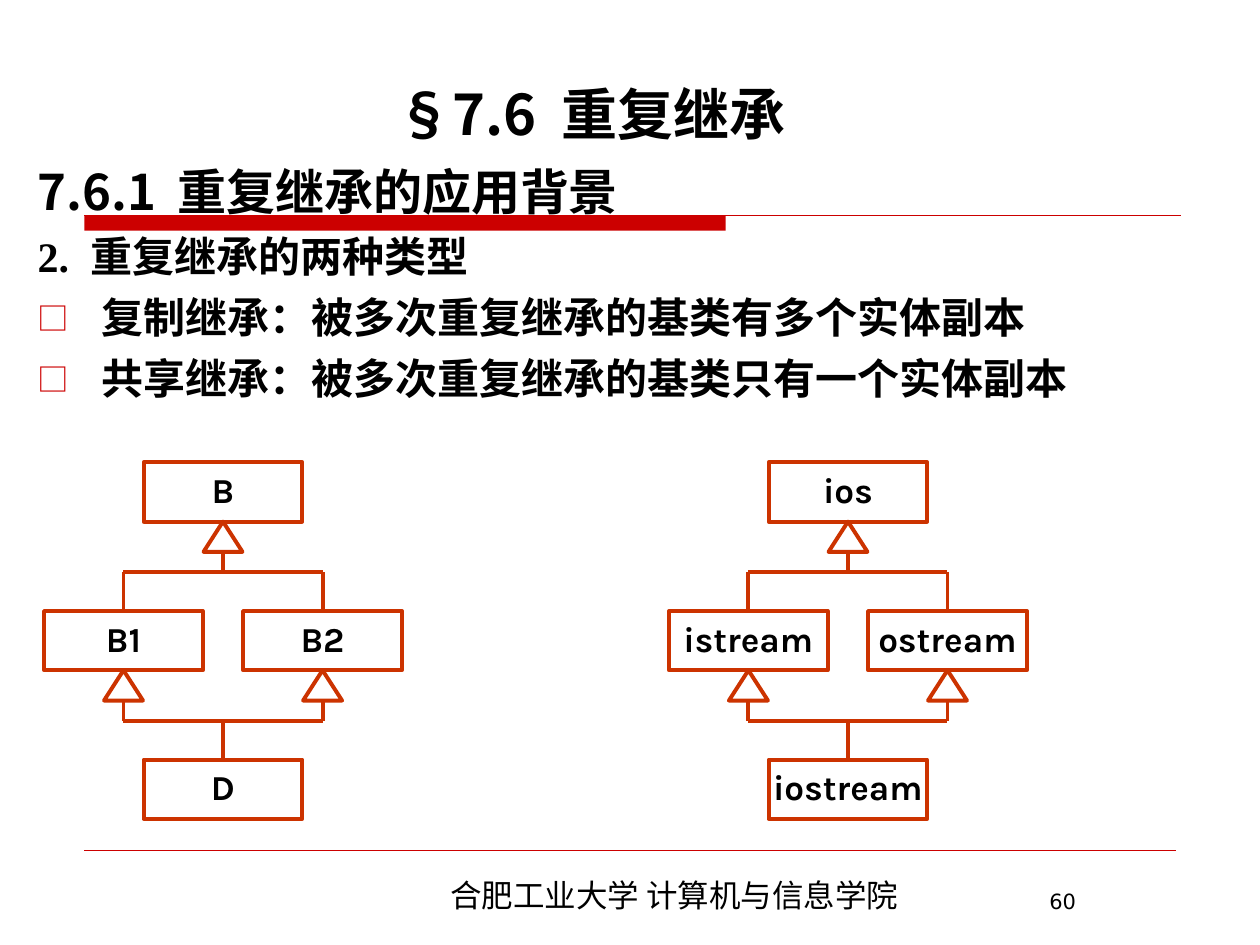
from lxml.etree import SubElement
from pptx import Presentation
from pptx.dml.color import RGBColor
from pptx.enum.shapes import MSO_CONNECTOR as CONN, MSO_SHAPE as SHAPE
from pptx.enum.text import MSO_ANCHOR as ANCHOR, PP_ALIGN as ALIGN
from pptx.oxml.ns import qn
from pptx.util import Inches, Pt

BLACK = RGBColor(0x00, 0x00, 0x00)
RED = RGBColor(0xCC, 0x00, 0x00)
ORANGE = RGBColor(0xCC, 0x33, 0x00)
CJK, SERIF, LABEL, NUMBER = "Noto Sans CJK SC", "Times New Roman", "Karla", "DejaVu Sans"

TITLE = "§7.6 重复继承"
BODY = [
    ("7.6.1 重复继承的应用背景", dict(size=28, bold=True, gap=6)),
    ("2. 重复继承的两种类型", dict(size=24, font=SERIF, bold=True, gap=6, before=6)),
    ("复制继承：被多次重复继承的基类有多个实体副本",
     dict(size=24, font=SERIF, bold=True, before=6, bullet="□")),
    ("共享继承：被多次重复继承的基类只有一个实体副本",
     dict(size=24, font=SERIF, bold=True, before=6, bullet="□")),
]
FOOTER, PAGE = "合肥工业大学 计算机与信息学院", "60"
# centre x, then the class names: base, left, right, derived
DIAMONDS = [
    (1.77, ("B", "B1", "B2", "D")),
    (6.73, ("ios", "istream", "ostream", "iostream")),
]

BOX_W, BOX_H = 1.26, 0.47
TOP, ROW = 3.67, 1.18       # first row of boxes, step between rows
ARM = 0.79                  # centre line to the middle of a side box
TRI_W, TRI_H = 0.31, 0.24
STEM = 0.16                 # triangle base to the crossbar


def add_text(tf, text, size=20, font=CJK, bold=False, align=ALIGN.LEFT,
             before=0, gap=0, bullet=None, line_spacing=None):
    """Add a paragraph; gap widens each space by that many points."""
    p = tf.paragraphs[0] if not tf.text else tf.add_paragraph()
    p.alignment = align
    p.space_before = Pt(before)
    if line_spacing:
        p.line_spacing = line_spacing
    if bullet:
        ppr = p._p.get_or_add_pPr()
        ppr.set("marL", str(Inches(0.51)))
        ppr.set("indent", str(Inches(-0.51)))
        colour = SubElement(ppr, qn("a:buClr"))
        SubElement(colour, qn("a:srgbClr"), val=str(RED))
        SubElement(ppr, qn("a:buSzPct"), val="75000")
        SubElement(ppr, qn("a:buFont"), typeface=CJK)
        SubElement(ppr, qn("a:buChar"), char=bullet)
    head, space, tail = text.partition(" ") if gap else (text, "", "")
    for part in filter(None, (head, space, tail)):
        r = p.add_run()
        r.text = part
        r.font.size, r.font.name, r.font.bold = Pt(size), font, bold
        r.font.color.rgb = BLACK
        SubElement(r.font._element, qn("a:ea"), typeface=CJK)
        if part == " ":
            r.font._element.set("spc", str(gap * 100))


def add_box(s, x, y, w, h, anchor=ANCHOR.TOP):
    tf = s.shapes.add_textbox(Inches(x), Inches(y), Inches(w), Inches(h)).text_frame
    tf.word_wrap = True
    tf.vertical_anchor = anchor
    return tf


def add_line(s, x1, y1, x2, y2, color=ORANGE, width=2.25):
    line = s.shapes.add_connector(CONN.STRAIGHT, Inches(x1), Inches(y1), Inches(x2), Inches(y2))
    line.line.color.rgb, line.line.width = color, Pt(width)
    SubElement(line._element.spPr, qn("a:effectLst"))


def add_outline(s, kind, cx, y, w, h):
    """Add an unfilled shape centred on cx."""
    sp = s.shapes.add_shape(kind, Inches(cx - w / 2), Inches(y), Inches(w), Inches(h))
    sp.shadow.inherit = False
    sp.fill.background()
    sp.line.color.rgb, sp.line.width = ORANGE, Pt(2.25)
    return sp


def add_class(s, name, cx, y):
    tf = add_outline(s, SHAPE.RECTANGLE, cx, y, BOX_W, BOX_H).text_frame
    tf.margin_left = tf.margin_right = tf.margin_top = tf.margin_bottom = 0
    tf.word_wrap = False
    tf.vertical_anchor = ANCHOR.MIDDLE
    add_text(tf, name, font=LABEL, bold=True, align=ALIGN.CENTER, line_spacing=0.9)


def add_arrow(s, cx, y):
    """Add an inheritance triangle with its stem below a box."""
    add_outline(s, SHAPE.ISOSCELES_TRIANGLE, cx, y, TRI_W, TRI_H)
    add_line(s, cx, y + TRI_H, cx, y + TRI_H + STEM)


def add_diamond(s, cx, names):
    left, right = cx - ARM, cx + ARM
    rows = [TOP + i * ROW for i in range(3)]
    places = [(cx, rows[0]), (left, rows[1]), (right, rows[1]), (cx, rows[2])]
    for name, (x, y) in zip(names, places):
        add_class(s, name, x, y)
    levels = [(rows[0], [cx], [left, right]), (rows[1], [left, right], [cx])]
    for y, parents, children in levels:
        bar = y + BOX_H + TRI_H + STEM
        add_line(s, left, bar, right, bar)
        for x in parents:
            add_arrow(s, x, y + BOX_H)
        for x in children:
            add_line(s, x, bar, x, y + ROW)


def main():
    prs = Presentation()
    prs.slide_width, prs.slide_height = Inches(10), Inches(7.5)
    s = prs.slides.add_slide(prs.slide_layouts[6])

    bar = s.shapes.add_shape(SHAPE.RECTANGLE, Inches(0.67), Inches(1.71), Inches(5.09), Inches(0.12))
    bar.shadow.inherit = False
    bar.fill.solid()
    bar.fill.fore_color.rgb = RED
    bar.line.fill.background()
    add_line(s, 0.67, 1.71, 9.37, 1.71, RED, 0.75)
    add_line(s, 0.67, 6.75, 9.33, 6.75, RED, 0.25)

    add_text(add_box(s, 2.32, 6.9, 6.06, 0.4), FOOTER, size=18, align=ALIGN.CENTER)
    add_text(add_box(s, 8.23, 7, 1.5, 0.29), PAGE, size=12, font=NUMBER)
    body = add_box(s, 0.2, 1.23, 9.6, 5.48)
    for text, style in BODY:
        add_text(body, text, **style)
    add_text(add_box(s, 0.43, 0.52, 8.52, 0.69, ANCHOR.BOTTOM), TITLE,
             size=32, bold=True, align=ALIGN.CENTER, gap=7)

    for cx, names in DIAMONDS:
        add_diamond(s, cx, names)
    prs.save("out.pptx")


if __name__ == "__main__":
    main()
